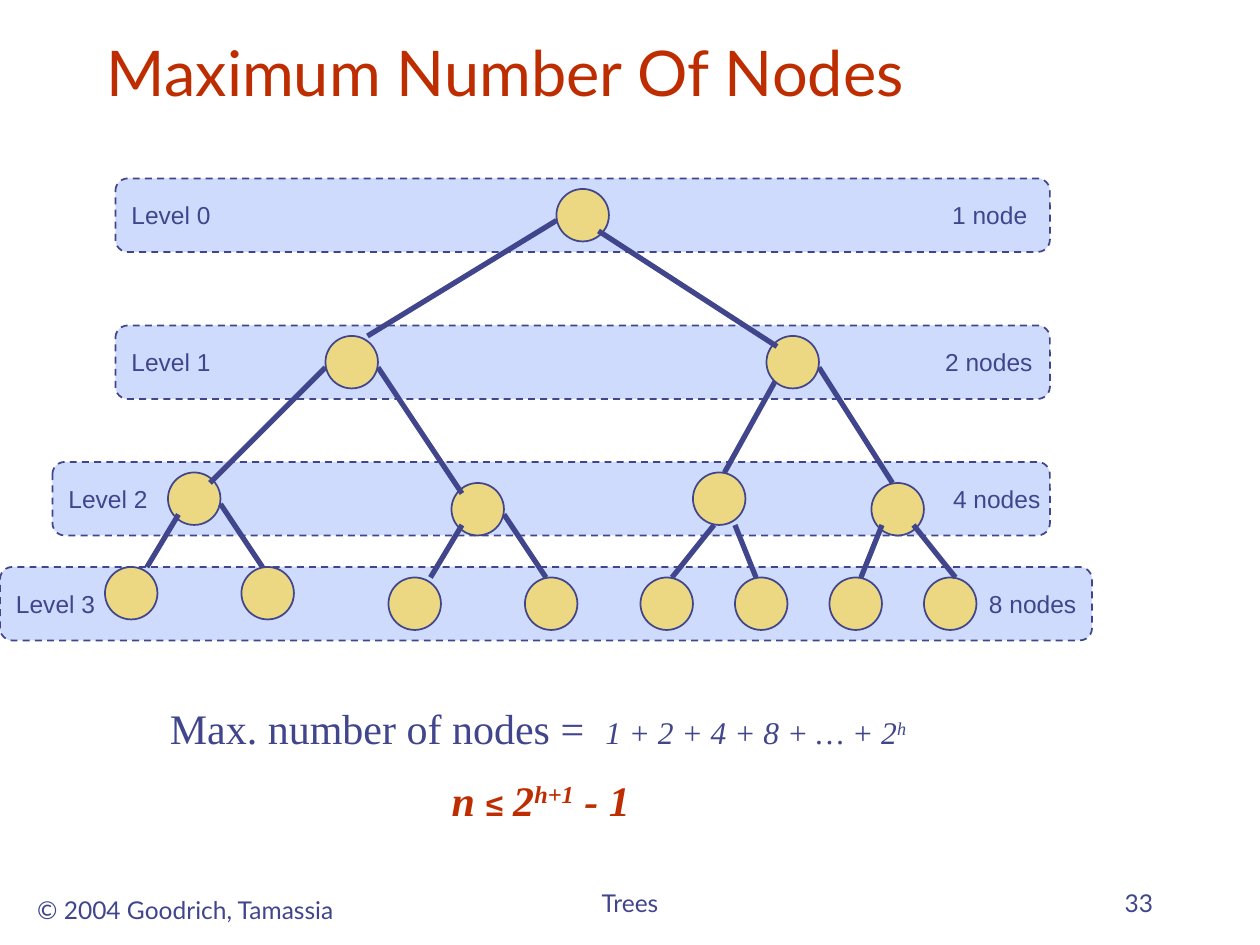
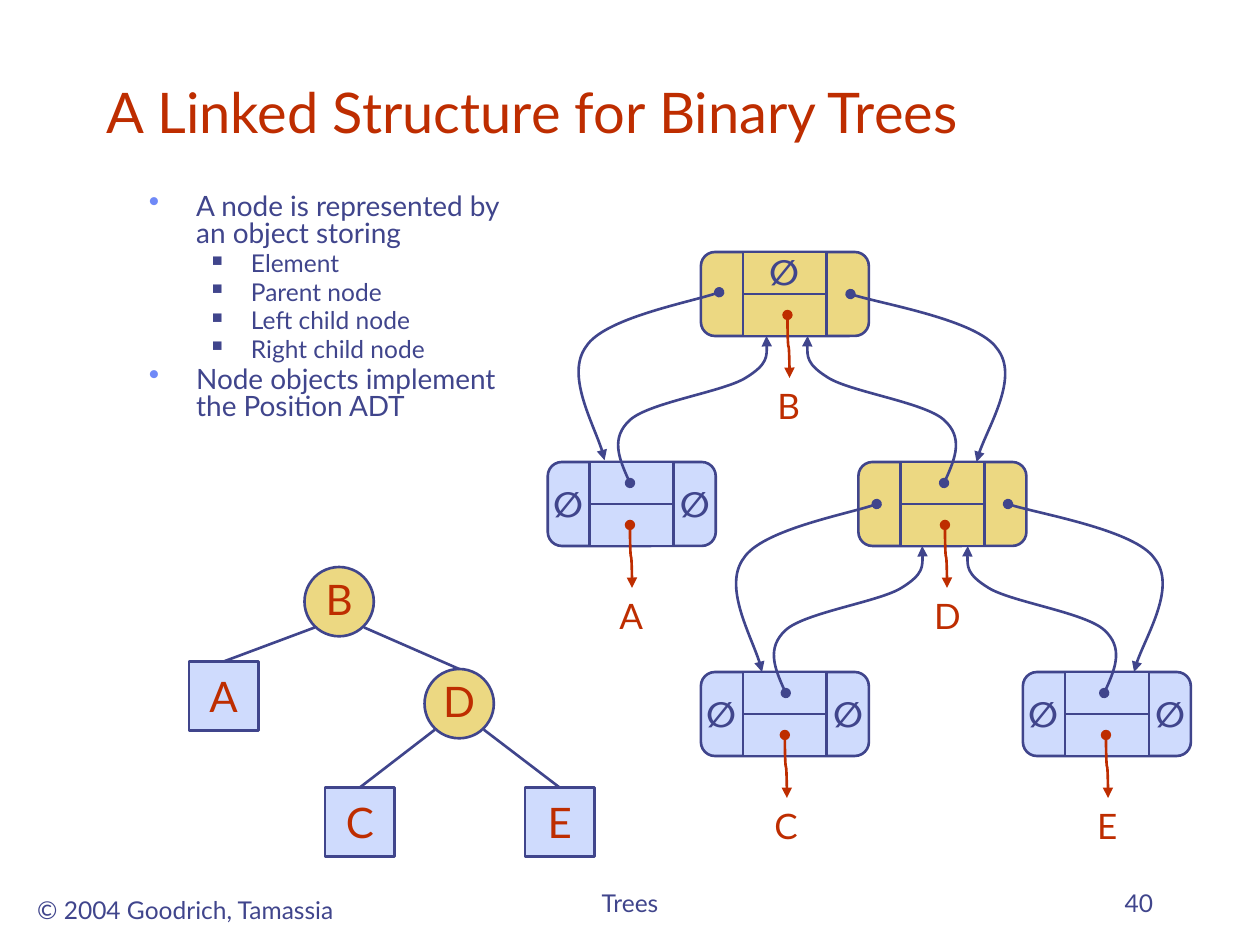
from lxml.etree import SubElement as Sub
from pptx import Presentation
from pptx.dml.color import RGBColor as Rgb
from pptx.enum.dml import MSO_LINE as Dash
from pptx.enum.shapes import MSO_CONNECTOR as Conn, MSO_SHAPE as Kind
from pptx.enum.text import MSO_ANCHOR as Anchor, PP_ALIGN as Align
from pptx.oxml.ns import qn
from pptx.util import Pt

HUES = {"ink": "40458C", "red": "BE2D00", "blue": "CFDBFD", "gold": "ECD882", "dot": "6F89F7"}
NULL = "∅"
RISE = [(0, 0), (-6, -13), (-11, -26), (0, -36), (11, -46), (53, -52),
        (66, -60), (79, -68), (78.5, -76), (78, -84)]
DROP = [(0, 0), (-13, 5), (-66, 15), (-76, 31), (-88, 47), (-68, 82), (-65.5, 96)]


def hue(name):
    return Rgb.from_string(HUES[name])


def write(para, text, size=14, color="ink", font="Lato", bold=False, italic=False, base=0):
    run = para.add_run()
    run.text = text
    face = run.font
    face.size, face.name, face.bold, face.italic = Pt(size), font, bold, italic
    face.color.rgb = hue(color)
    if base:
        run._r.get_or_add_rPr().set("baseline", str(base * 1000))


class Deck:
    def __init__(self):
        self.file = Presentation()
        self.file.slide_width, self.file.slide_height = Pt(720), Pt(540)
        self.items = None

    def page(self, title, size, box, number):
        slide = self.file.slides.add_slide(self.file.slide_layouts[6])
        self.items = slide.shapes
        self.label("© 2004 Goodrich, Tamassia", (12, 508, 188, 24), wrap=False)
        self.label("Trees", (246, 492, 228, 36), anchor=Anchor.BOTTOM)
        self.label(number, (516, 492, 150, 36), Align.RIGHT, Anchor.BOTTOM)
        self.label(title, box, Align.LEFT, Anchor.BOTTOM, size=size, color="red")

    def frame(self, box, anchor=Anchor.TOP, wrap=True):
        frame = self.items.add_textbox(*map(Pt, box)).text_frame
        frame.word_wrap, frame.vertical_anchor = wrap, anchor
        return frame

    def label(self, text, box, align=Align.CENTER, anchor=Anchor.TOP, wrap=True, **style):
        para = self.frame(box, anchor, wrap).paragraphs[0]
        para.alignment = align
        write(para, text, **style)

    def trim(self, line, width, color="ink", ends=False):
        line.width = Pt(width)
        line.color.rgb = hue(color)
        if ends:
            ln = line._get_or_add_ln()
            Sub(ln, qn("a:headEnd"), type="oval")
            Sub(ln, qn("a:tailEnd"), type="triangle")

    def shape(self, kind, box, fill, width=1.5):
        shape = self.items.add_shape(kind, *map(Pt, box))
        shape.shadow.inherit = False
        shape.fill.solid()
        shape.fill.fore_color.rgb = hue(fill)
        self.trim(shape.line, width)
        return shape

    def line(self, ends, width=1.5, color="ink", kind=Conn.STRAIGHT, heads=False):
        line = self.items.add_connector(kind, *map(Pt, ends))
        self.trim(line.line, width, color, heads)
        Sub(line._element.spPr, qn("a:effectLst"))
        return line

    def curve(self, x, y, steps, scale):
        first, *rest = [(Pt(x + scale * dx), Pt(y + dy)) for dx, dy in steps]
        pen = self.items.build_freeform(*first)
        pen.add_line_segments(rest, close=False)
        shape = pen.convert_to_shape()
        shape.shadow.inherit = False
        shape.fill.background()
        self.trim(shape.line, 1.5, ends=True)
        track = shape._element.find(".//" + qn("a:path"))
        legs = track.findall(qn("a:lnTo"))
        for i in range(0, len(legs), 3):
            bend = Sub(track, qn("a:cubicBezTo"))
            for leg in legs[i:i + 3]:
                bend.append(leg[0])
                track.remove(leg)

    def level(self, depth, left, top, width, count, tab):
        band = self.shape(Kind.ROUNDED_RECTANGLE, (left, top, width, 42), "blue", 1)
        band.line.dash_style = Dash.DASH
        frame = band.text_frame
        frame.margin_right = 0
        frame.vertical_anchor = Anchor.MIDDLE
        para = frame.paragraphs[0]
        para.alignment = Align.LEFT
        stops = Sub(para._p.get_or_add_pPr(), qn("a:tabLst"))
        Sub(stops, qn("a:tab"), pos=str(Pt(tab)), algn="l")
        write(para, f"Level {depth}\t{count}", font="Arial")

    def node(self, text, x, y, inner):
        kind, fill = (Kind.OVAL, "gold") if inner else (Kind.RECTANGLE, "blue")
        shape = self.shape(kind, (x, y, 39.6, 39.6), fill)
        frame = shape.text_frame
        frame.word_wrap, frame.vertical_anchor = False, Anchor.MIDDLE
        if inner:
            frame.margin_left = frame.margin_right = frame.margin_top = 0
        para = frame.paragraphs[0]
        para.alignment = Align.CENTER
        write(para, text, size=24, color="red")
        return shape

    def null(self, x, y):
        self.label(NULL, (x, y, 31, 31), wrap=False, size=20, bold=True)

    def record(self, text, x, y, dot, inner):
        fill = "gold" if inner else "blue"
        self.shape(Kind.ROUNDED_RECTANGLE, (x, y, 96, 48), fill)
        self.shape(Kind.RECTANGLE, (x + 24, y, 48, 48), fill)
        self.line((x + 24, y + 24, x + 72, y + 24))
        if not inner:
            self.null(x - 4, y + 8)
            self.null(x + 68.5, y + 8)
        self.label(text, (dot - 13.3, y + 72, 28, 31), wrap=False, size=20, color="red")
        mid = dot + 0.6
        ends = (mid + 18, y + 53.4, mid - 18, y + 54.6)
        link = self.line(ends, color="red", kind=Conn.CURVE, heads=True)
        link._element.spPr.find(qn("a:xfrm")).set("rot", "16200000")

    def bullets(self, box, rows):
        frame = self.frame(box)
        for i, (deep, text) in enumerate(rows):
            para = frame.add_paragraph() if i else frame.paragraphs[0]
            size, left, hang, mark, part, color = (
                (14, 58.3, 22.3, "■", 60, "ink") if deep else (16, 27, 27, "•", 110, "dot"))
            props = para._p.get_or_add_pPr()
            props.set("marL", str(Pt(left)))
            props.set("indent", str(-Pt(hang)))
            Sub(Sub(props, qn("a:buClr")), qn("a:srgbClr"), val=HUES[color])
            Sub(props, qn("a:buSzPct"), val=str(part * 1000))
            Sub(props, qn("a:buChar"), char=mark)
            para.level = deep
            para.line_spacing = 0.8
            if i:
                para.space_before = Pt(size * 0.2)
            write(para, text, size=size)


def count_page(deck):
    deck.page("Maximum Number Of Nodes", 36, (54, 0, 612, 66), "33")
    for depth, row in enumerate([
            (66, 102, 534, "1 node", 469), (66, 186, 534, "2 nodes", 465),
            (30, 264, 570, "4 nodes", 505.5), (0, 324, 624, "8 nodes", 556)]):
        deck.level(depth, *row)
    stages = [
        ([(96, 270), (258, 276), (396, 270), (498, 276)],
         [(444, 216, 414, 270), (468, 210, 510, 276),
          (186, 210, 120, 276), (216, 210, 264, 282)]),
        ([(318, 108), (438, 192), (186, 192)],
         [(318, 126, 210, 192), (342, 132, 444, 198)]),
        ([(60, 324), (138, 324)] + [(x, 330) for x in (222, 300, 366, 420, 474, 528)],
         [(102, 294, 84, 324), (126, 288, 150, 324), (264, 300, 246, 330),
          (288, 294, 312, 330), (408, 300, 384, 330), (420, 300, 432, 330),
          (504, 300, 492, 330), (522, 300, 546, 330)])]
    for nodes, edges in stages:
        for x, y in nodes:
            deck.shape(Kind.OVAL, (x, y, 30, 30), "gold", 1)
        for ends in edges:
            deck.line(ends, 3)

    frame = deck.frame((90, 398, 438, 79))
    total, bound = frame.paragraphs[0], frame.add_paragraph()
    serif = {"font": "Times New Roman"}
    slant = {**serif, "size": 18, "italic": True}
    strong = {**slant, "size": 24, "color": "red", "bold": True}
    write(total, "Max. number of nodes =  ", size=24, **serif)
    write(total, "1 + 2 + 4 + 8 + … + 2", **slant)
    write(total, "h", base=30, **slant)
    bound.alignment, bound.space_before = Align.CENTER, Pt(12)
    write(bound, "n ", **strong)
    write(bound, "≤", **{**strong, "font": "Arial", "size": 18})
    write(bound, " 2", **strong)
    write(bound, "h+1", base=30, **strong)
    write(bound, " - 1", **strong)


def link_page(deck):
    deck.page("A Linked Structure for Binary Trees", 32, (54, 36, 600, 50.4), "40")
    deck.bullets((78, 108, 226.8, 156), [
        (0, "A node is represented by an object storing"),
        (1, "Element"), (1, "Parent node"), (1, "Left child node"), (1, "Right child node"),
        (0, "Node objects implement the Position ADT")])
    nodes = {name: deck.node(name, x, y, name in "BD") for name, x, y in [
        ("B", 174, 324), ("D", 242.6, 382.3), ("A", 108, 378),
        ("C", 185.8, 450), ("E", 300, 450)]}
    for name, x, y in [("E", 276.5, 417), ("C", 248.5, 417), ("A", 180, 358.5), ("D", 208, 358.5)]:
        deck.line((x, y, x, y)).end_connect(nodes[name], 0)

    for name, x, y, dot in [("B", 400.5, 144, 450), ("A", 313, 264, 360), ("D", 490.5, 264, 540),
                            ("C", 400.5, 384, 448.5), ("E", 584.5, 384, 632)]:
        deck.record(name, x, y, dot, name in "BD")
    deck.null(432.5, 139.5)
    for x, y, scale in [(360, 276, 1), (539.5, 276, -1), (631, 396, -1), (449, 396, 1)]:
        deck.curve(x, y, RISE, scale)
    for x, y, scale in [(411, 167, 1), (486, 168, -1.1), (576, 288, -1.1), (501, 288, 1)]:
        deck.curve(x, y, DROP, scale)


def main():
    deck = Deck()
    count_page(deck)
    link_page(deck)
    deck.file.save("out.pptx")


if __name__ == "__main__":
    main()
